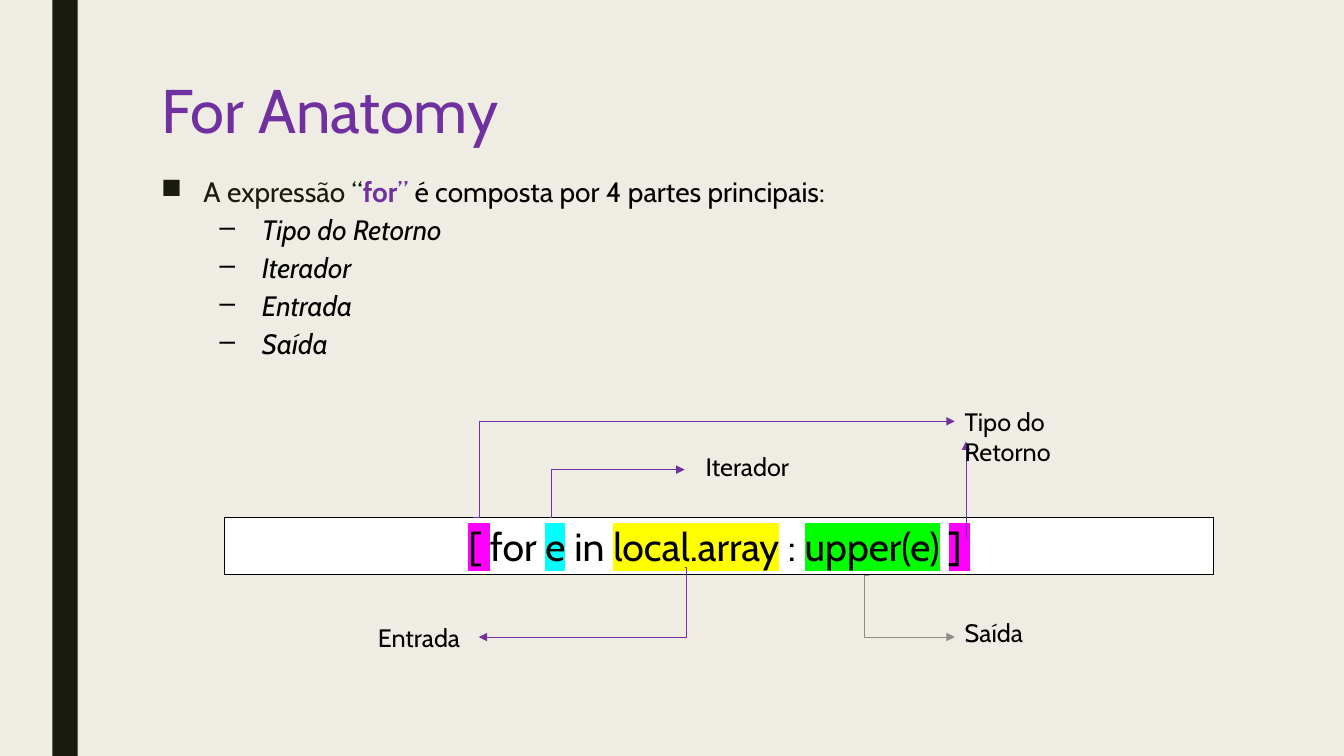
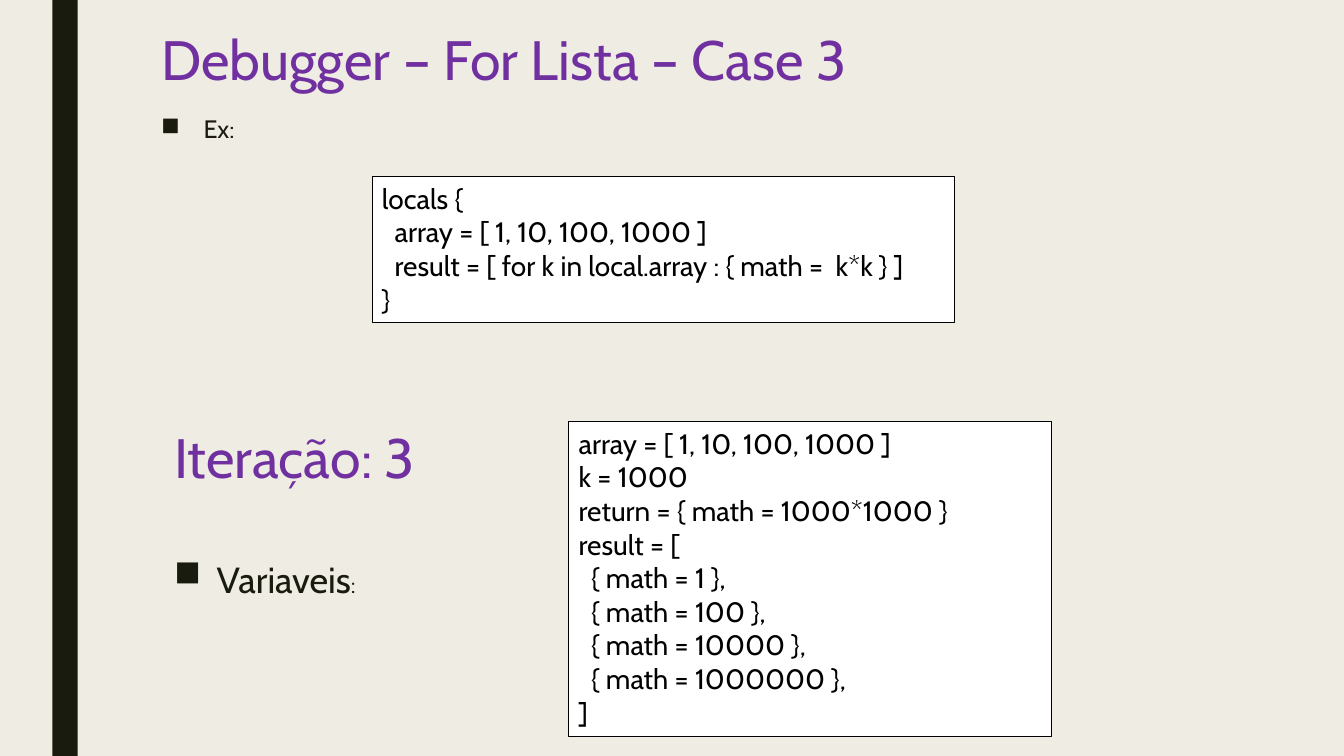
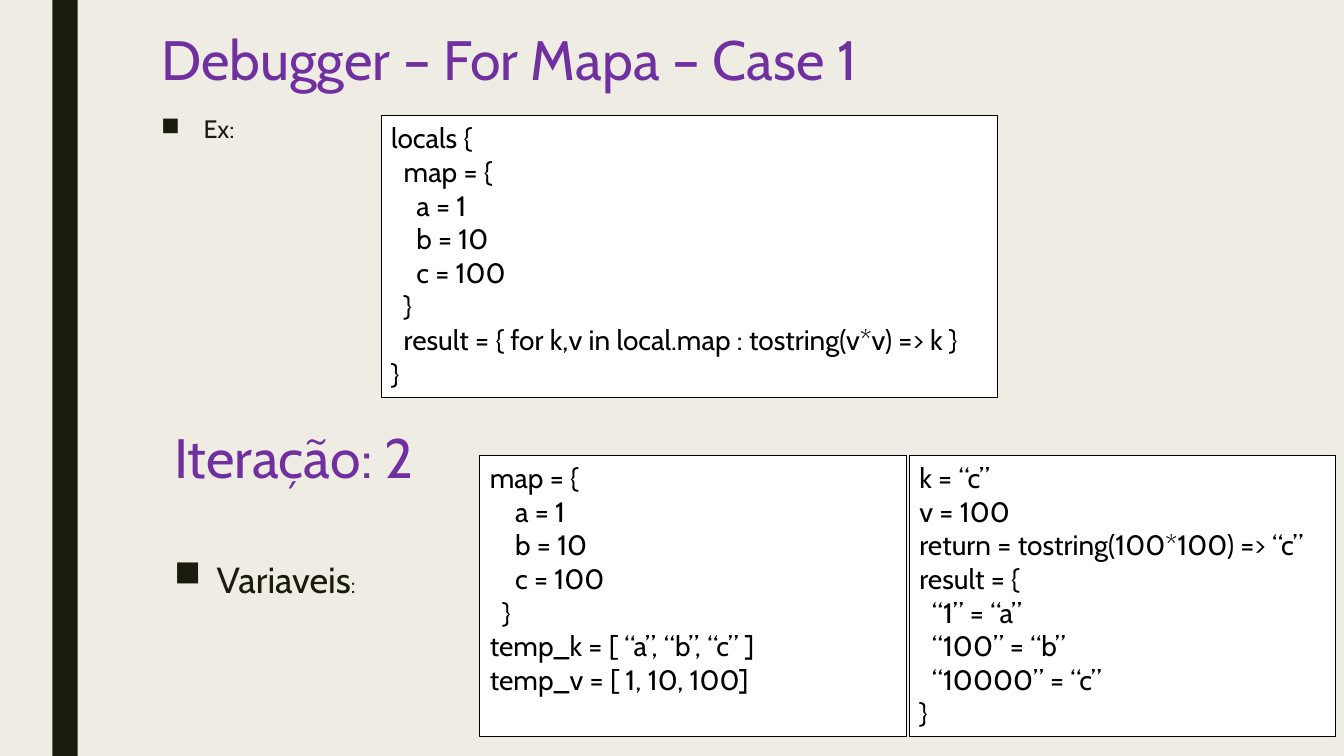
from dataclasses import dataclass

from lxml import etree
from pptx import Presentation
from pptx.dml.color import RGBColor
from pptx.enum.shapes import MSO_CONNECTOR, MSO_SHAPE
from pptx.enum.text import MSO_ANCHOR, PP_ALIGN
from pptx.oxml.ns import qn
from pptx.util import Emu, Pt

RECT = MSO_SHAPE.RECTANGLE
STRAIGHT, ELBOW = MSO_CONNECTOR.STRAIGHT, MSO_CONNECTOR.ELBOW
TOP, LEFT, CENTER = MSO_ANCHOR.TOP, PP_ALIGN.LEFT, PP_ALIGN.CENTER

# Shared look
EMU_PER_PX = 9144  # 100 px to the inch
SLIDE_W, SLIDE_H = 1333, 750
FONT = "Cabin"
PAPER, INK, BLACK, WHITE = "EFEDE3", "191B0E", "000000", "FFFFFF"
PURPLE, GRAY = "7030A0", "8C8D86"
PINK, CYAN, YELLOW, GREEN = "FF00FF", "00FFFF", "FFFF00", "00FF00"
BULLET_HANG = 42
LABEL_W, LABEL_H = 140, 40


@dataclass(frozen=True)
class Run:
    text: str
    size: float
    color: str = BLACK
    bold: bool = False
    italic: bool = False
    highlight: str = ""


@dataclass(frozen=True)
class Para:
    runs: list[Run]
    spacing: float = 1.0
    before: float = 0
    after: float = 0
    bullet: str = ""
    margin: int = 0
    align: PP_ALIGN = LEFT


@dataclass(frozen=True)
class Box:
    x: int
    y: int
    w: int
    h: int


@dataclass(frozen=True)
class Arrow:
    x1: int
    y1: int
    x2: int
    y2: int
    color: str = PURPLE
    bend: float | None = None  # share of the width at which the elbow turns


@dataclass(frozen=True)
class CodeBox:
    box: Box
    code: str


def px(n: int) -> Emu:
    return Emu(n * EMU_PER_PX)


def rgb(color: str) -> RGBColor:
    return RGBColor.from_string(color)


def place(box: Box) -> tuple[Emu, Emu, Emu, Emu]:
    return px(box.x), px(box.y), px(box.w), px(box.h)


def add_run(p, run: Run) -> None:
    r = p.add_run()
    r.text = run.text
    fmt = {"name": FONT, "size": Pt(run.size), "bold": run.bold, "italic": run.italic}
    for name, value in fmt.items():
        setattr(r.font, name, value)
    r.font.color.rgb = rgb(run.color)
    if run.highlight:
        mark = etree.Element(qn("a:highlight"))
        etree.SubElement(mark, qn("a:srgbClr"), val=run.highlight)
        r.font.fill  # colour fill comes first, the highlight right after it
        r._r.rPr.find(qn("a:solidFill")).addnext(mark)


def write(tf, paras: list[Para]) -> None:
    tf.word_wrap = True
    tf.vertical_anchor = TOP
    for i, para in enumerate(paras):
        p = tf.paragraphs[0] if i == 0 else tf.add_paragraph()
        fmt = {"alignment": para.align, "line_spacing": para.spacing,
               "space_before": Pt(para.before), "space_after": Pt(para.after)}
        for name, value in fmt.items():
            setattr(p, name, value)
        if para.bullet:
            pPr = p._p.get_or_add_pPr()
            pPr.set("marL", str(px(para.margin)))
            pPr.set("indent", str(-px(BULLET_HANG)))
            etree.SubElement(pPr, qn("a:buChar"), char=para.bullet)
        for run in para.runs:
            add_run(p, run)


def add_text(s, box: Box, paras: list[Para]) -> None:
    write(s.shapes.add_textbox(*place(box)).text_frame, paras)


def add_rect(s, box: Box, fill: str, line: str = ""):
    sp = s.shapes.add_shape(RECT, *place(box))
    sp.shadow.inherit = False
    sp.fill.solid()
    sp.fill.fore_color.rgb = rgb(fill)
    if line:
        sp.line.color.rgb = rgb(line)
        sp.line.width = Pt(0.75)
    else:
        sp.line.fill.background()
    return sp


def add_arrow(s, a: Arrow) -> None:
    kind = STRAIGHT if a.bend is None else ELBOW
    c = s.shapes.add_connector(kind, px(a.x1), px(a.y1), px(a.x2), px(a.y2))
    c.line.color.rgb = rgb(a.color)
    c.line.width = Pt(0.5)
    etree.SubElement(c.line._get_or_add_ln(), qn("a:tailEnd"), type="triangle")
    spPr = c._element.spPr
    etree.SubElement(spPr, qn("a:effectLst"))
    if a.bend is not None:
        guides = spPr.find(qn("a:prstGeom")).get_or_add_avLst()
        etree.SubElement(guides, qn("a:gd"), name="adj1", fmla=f"val {round(a.bend * 100000)}")


def add_title(s, text: str, box: Box, size: float, spacing: float = 0.89) -> None:
    add_text(s, box, [Para([Run(text, size, PURPLE)], spacing)])


def add_code(s, item: CodeBox) -> None:
    sp = add_rect(s, item.box, WHITE, BLACK)
    write(sp.text_frame, [Para([Run(line, 20)]) for line in item.code.split("\n")])


def new_slide(prs):
    s = prs.slides.add_slide(prs.slide_layouts[6])
    add_rect(s, Box(52, 0, 25, SLIDE_H), INK)
    return s


def anatomy_slide(prs) -> None:
    s = new_slide(prs)
    add_title(s, "For Anatomy", Box(150, 75, 1050, 162), 44)

    # Bulleted list of the parts
    intro = [Run("A expressão “", 20, INK), Run("for", 20, PURPLE, bold=True),
             Run("” ", 20, PURPLE), Run("é composta por 4 partes principais:", 20)]
    parts = ["Tipo do Retorno", "Iterador", "Entrada", "Saída"]
    paras = [Para(intro, 0.84, after=2, bullet="■", margin=BULLET_HANG)]
    paras += [Para([Run(part, 20, italic=True)], 0.84, 5, 2, "–", 100) for part in parts]
    add_text(s, Box(150, 174, 1076, 206), paras)

    # Highlighted expression
    pieces = [("[ ", PINK), ("for ", ""), ("e", CYAN), (" in ", ""), ("local.array", YELLOW),
              (" : ", ""), ("upper(e)", GREEN), (" ", ""), ("] ", PINK)]
    sp = add_rect(s, Box(223, 513, 981, 57), WHITE, BLACK)
    write(sp.text_frame, [Para([Run(t, 28, highlight=h) for t, h in pieces], align=CENTER)])

    # Arrows from the expression to the labels
    for arrow in [Arrow(958, 535, 958, 438),
                  Arrow(469, 513, 947, 418, bend=0.014),
                  Arrow(679, 563, 475, 632, bend=-0.009),
                  Arrow(546, 513, 679, 466, bend=0.004),
                  Arrow(862, 571, 947, 632, GRAY, bend=-0.051)]:
        add_arrow(s, arrow)

    # Labels, in the order of the list
    for label, (x, y) in zip(parts, [(947, 398), (690, 443), (365, 612), (947, 608)]):
        add_text(s, Box(x, y, LABEL_W, LABEL_H), [Para([Run(label, 18)])])


def debugger_slide(prs, title: str, step: int, code_boxes: list[CodeBox]) -> None:
    s = new_slide(prs)
    add_title(s, title, Box(150, 28, 1050, 68), 39.6)
    add_text(s, Box(150, 110, 119, 46),
             [Para([Run("Ex:", 18, INK)], 0.94, after=2, bullet="■", margin=BULLET_HANG)])
    add_title(s, f"Iteração: {step}", Box(163, 428, 1050, 68), 39.6, 0.79)
    add_text(s, Box(163, 558, 346, 46),
             [Para([Run("Variaveis", 25.9, INK), Run(":", 16.6, INK)], 0.74,
                   after=2, bullet="■", margin=BULLET_HANG)])
    for item in code_boxes:
        add_code(s, item)


LIST_SOURCE = """locals {
  array = [ 1, 10, 100, 1000 ]
  result = [ for k in local.array : { math =  k*k } ]
}"""

LIST_STATE = """array = [ 1, 10, 100, 1000 ]
k = 1000
return = { math = 1000*1000 }
result = [
  { math = 1 },
  { math = 100 },
  { math = 10000 },
  { math = 1000000 },
]"""

MAP_SOURCE = """locals {
  map = {
    a = 1
    b = 10
    c = 100
  }
  result = { for k,v in local.map : tostring(v*v) => k }
}"""

MAP_INPUT = """map = {
    a = 1
    b = 10
    c = 100
  }
temp_k = [ “a”, “b”, “c” ]
temp_v = [ 1, 10, 100]"""

MAP_STATE = """k = “c”
v = 100
return = tostring(100*100) => “c”
result = {
  “1” = “a”
  “100” = “b”
  “10000” = “c”
}"""


def main() -> None:
    prs = Presentation()
    prs.slide_width, prs.slide_height = px(SLIDE_W), px(SLIDE_H)
    background = prs.slide_master.background.fill
    background.solid()
    background.fore_color.rgb = rgb(PAPER)

    anatomy_slide(prs)
    debugger_slide(prs, "Debugger – For Lista – Case 3", 3, [
        CodeBox(Box(369, 175, 578, 145), LIST_SOURCE),
        CodeBox(Box(564, 418, 479, 313), LIST_STATE)])
    debugger_slide(prs, "Debugger – For Mapa – Case 1", 2, [
        CodeBox(Box(378, 115, 611, 279), MAP_SOURCE),
        CodeBox(Box(476, 452, 423, 279), MAP_INPUT),
        CodeBox(Box(902, 452, 423, 279), MAP_STATE)])
    prs.save("out.pptx")


if __name__ == "__main__":
    main()
